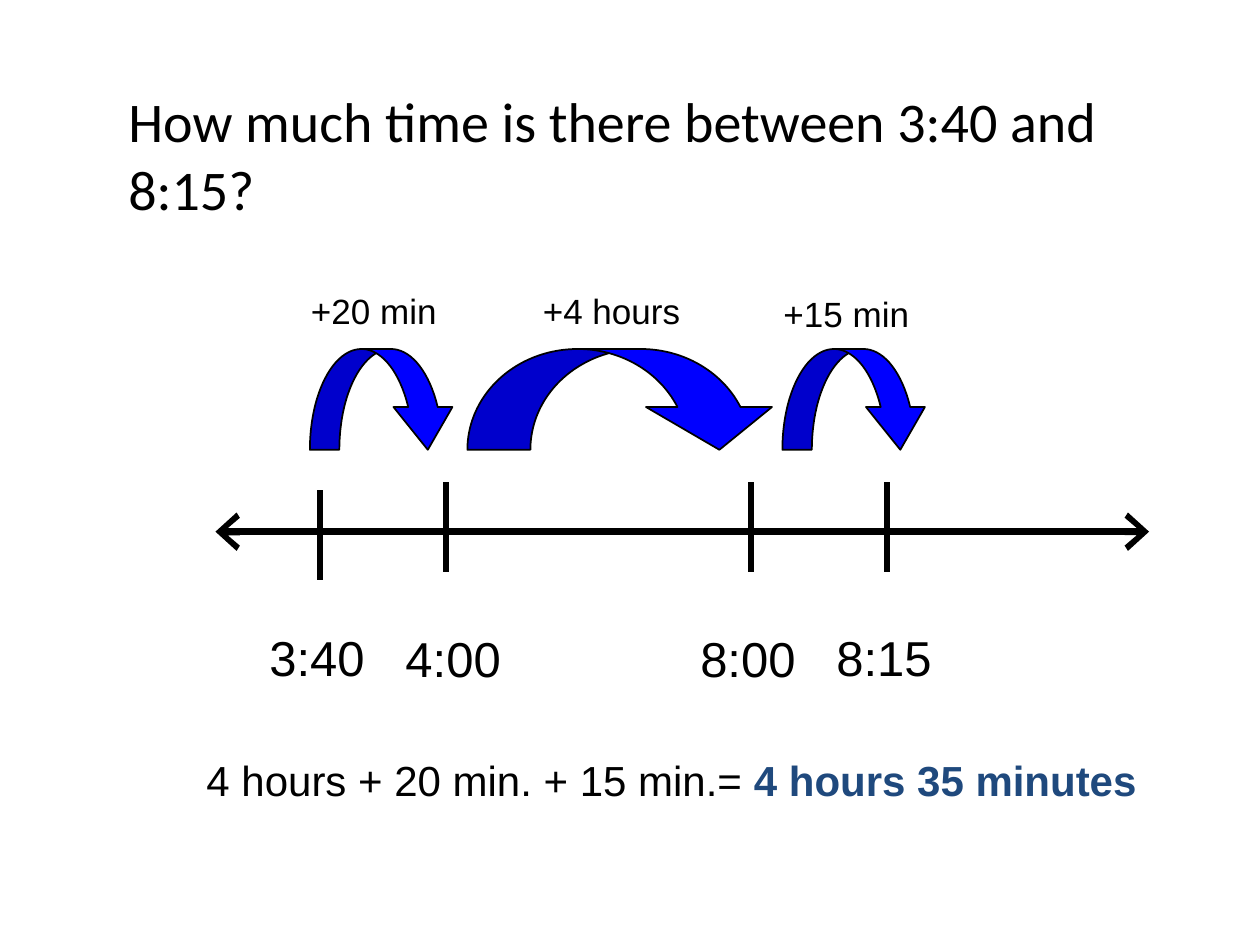
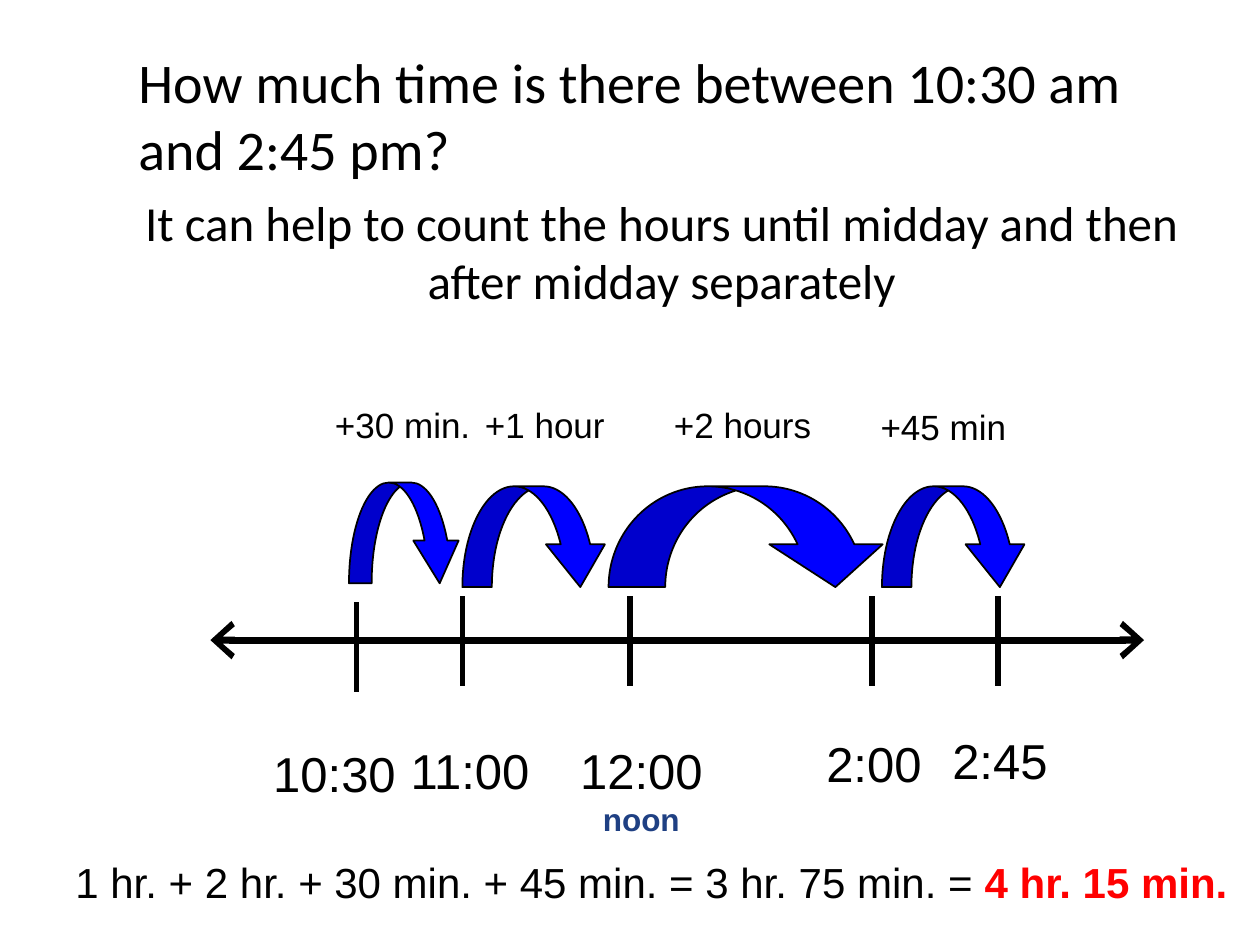
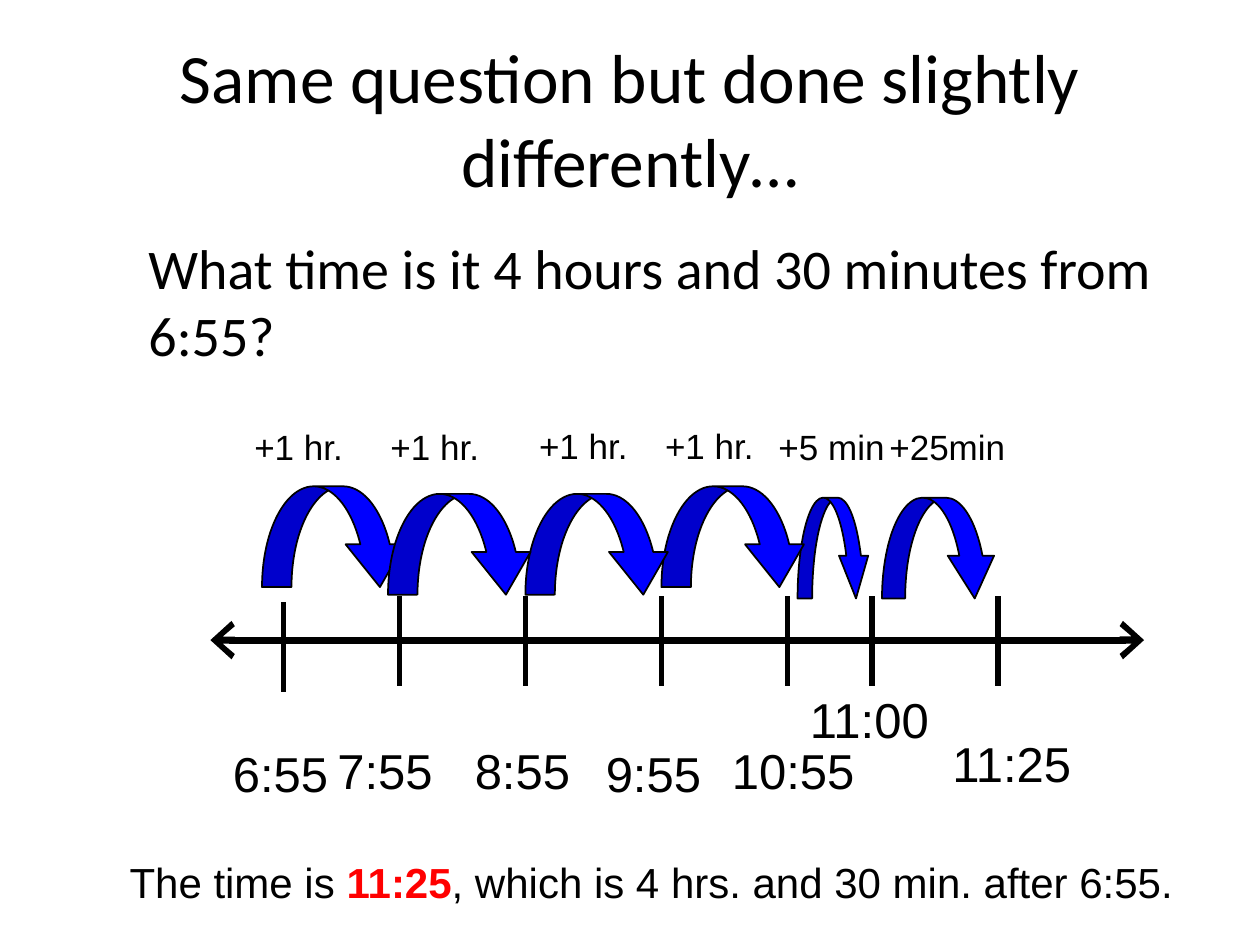
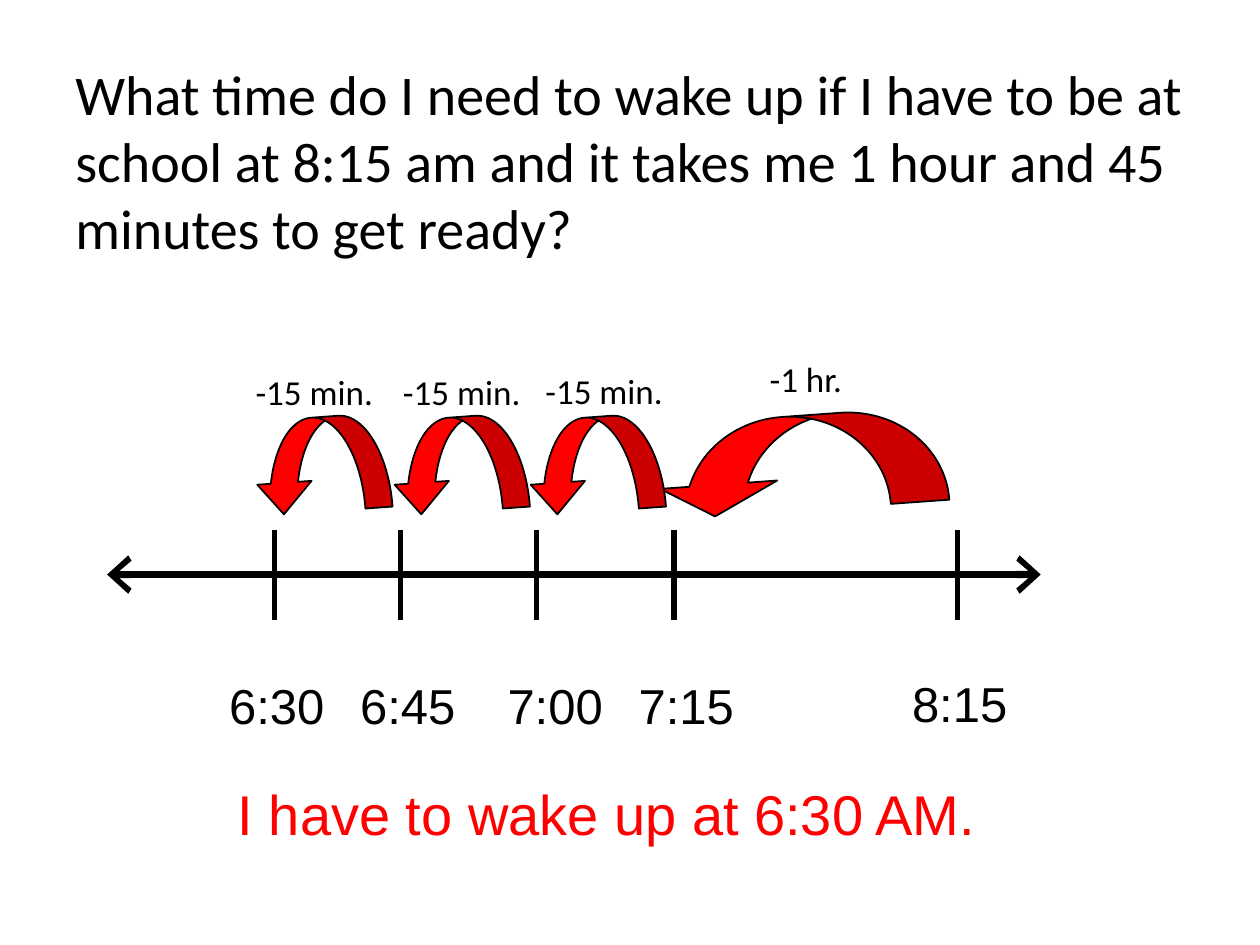
from lxml import etree
from pptx import Presentation
from pptx import util as u
from pptx.dml.color import RGBColor
from pptx.enum import shapes, text
from pptx.oxml import ns

INK = {"black": "000000", "blue": "0000FF", "navy": "1F497D",
       "noon": "1F4083", "red": "FF0000"}
SANS, BODY = "Arial", "Calibri"
LEFT, MID = text.PP_ALIGN.LEFT, text.PP_ALIGN.CENTER
DOWN = shapes.MSO_SHAPE.CURVED_DOWN_ARROW
UP = shapes.MSO_SHAPE.CURVED_UP_ARROW
HOP = 1.17  # usual width of a hop


def ink(name):
    return RGBColor.from_string(INK[name])


def write(slide, box, paras, font=SANS, wrap=False, anchor=text.MSO_ANCHOR.TOP):
    """Each para is (align, size, runs); each run is (words, colour, bold)."""
    frame = slide.shapes.add_textbox(*map(u.Inches, box)).text_frame
    frame.word_wrap = wrap
    frame.vertical_anchor = anchor
    if not wrap:
        frame.auto_size = text.MSO_AUTO_SIZE.SHAPE_TO_FIT_TEXT
    for i, (align, size, runs) in enumerate(paras):
        para = frame.add_paragraph() if i else frame.paragraphs[0]
        para.alignment = align
        if i and wrap:
            para.space_before = u.Pt(size * 0.2)
        for words, hue, bold in runs:
            run = para.add_run()
            run.text = words
            run.font.name, run.font.size = font, u.Pt(size)
            run.font.bold = bold
            run.font.color.rgb = ink(hue)


def plain(words, size, align=LEFT):
    return align, size, [(words, "black", False)]


def stroke(slide, ends, width, heads=False):
    line = slide.shapes.add_connector(
        shapes.MSO_CONNECTOR.STRAIGHT, *map(u.Inches, ends))
    line.line.color.rgb = ink("black")
    line.line.width = u.Pt(width)
    ln = line.line._get_or_add_ln()
    ln.set("cap", "sq")
    if heads:
        for end in ("a:headEnd", "a:tailEnd"):
            etree.SubElement(ln, ns.qn(end), type="arrow", w="lg", len="med")
    etree.SubElement(line._element.spPr, ns.qn("a:effectLst"))


# Regions: every x and y in the lists is measured from the box's corner

def ask(slide, box, *paras):
    write(slide, box, paras, BODY, True)


def axis(slide, box, drop, ticks, low=0):
    x, y, w, h = box
    stroke(slide, (x, y + drop, x + w, y + drop), 4, True)
    for i, dx in enumerate(ticks):
        top = y + (0 if i else low)
        stroke(slide, (x + dx, top, x + dx, top + h), 3)


def hops(slide, box, items, kind=DOWN, hue="blue", head=0.424, turn=0):
    x, y, _, h = box
    for dx, dy, w in items:
        hop = slide.shapes.add_shape(
            kind, *map(u.Inches, (x + dx, y + dy, w, h)))
        side = min(w, h)
        for i, size in enumerate((0.2 * w, 0.4 * w, head * h)):
            hop.adjustments[i] = size / side
        hop.rotation = turn
        hop.shadow.inherit = False
        hop.fill.solid()
        hop.fill.fore_color.rgb = ink(hue)
        hop.line.color.rgb = ink("black")
        hop.line.width = u.Pt(1)


def tags(slide, box, items, font=SANS):
    x, y, _, h = box
    for words, dx, dy, w in items:
        write(slide, (x + dx, y + dy, w, h), [plain(words, 20)], font)


def times(slide, box, items):
    x, y, _, h = box
    for words, dx, dy in items:
        w = 0.96 if len(words) == 4 else 1.18
        write(slide, (x + dx, y + dy, w, h), [plain(words, 28)])


def total(slide, box, runs, size=24):
    write(slide, box, [(LEFT, size, runs)])


# Slides

def between(slide):
    ask(slide, (0.92, 0.64, 8.5, 4.95),
        plain("How much time is there between 3:40 and 8:15?", 32))
    x, w = 1.71, 7.41
    axis(slide, (x, 3.85, w, 0.67), 0.37, (0.83, 1.83, 4.25, 5.33), 0.06)
    hops(slide, (x, 2.77, w, 0.8),
         [(2, 0, 2.5), (4.5, 0, HOP), (0.75, 0, HOP)])
    tags(slide, (x, 2.25, w, 0.43), [
        ("+20 min", 0.66, 0, 1.2), ("+4 hours", 2.5, 0, 1.29),
        ("+15 min", 4.41, 0.02, 1.2)])
    times(slide, (x, 4.93, w, 0.57), [
        ("3:40", 0.33, 0), ("4:00", 1.41, 0.01),
        ("8:00", 3.75, 0.01), ("8:15", 4.83, 0)])
    total(slide, (1.54, 5.94, 7.58, 0.5), [
        ("4 hours + 20 min. + 15 min.= ", "black", False),
        ("4 hours 35 minutes", "navy", True)])


def midday(slide):
    ask(slide, (1, 0.33, 8.5, 4.95),
        plain("How much time is there between 10:30 am and 2:45 pm?", 32),
        plain("It can help to count the hours until midday and then "
              "after midday separately", 28, MID))
    x, w = 1.67, 7.41
    axis(slide, (x, 4.75, w, 0.67), 0.33, (1.16, 2, 3.33, 5.25, 6.25), 0.05)
    hops(slide, (x, 3.86, w, 0.8), [
        (5.33, 0, HOP), (3.16, 0, 2.25), (1.1, -0.03, 0.9), (2, 0, HOP)])
    tags(slide, (x, 3.15, w, 0.43), [
        ("+30 min.", 0.89, 0, 1.32), ("+1 hour", 2.08, 0, 1.15),
        ("+2 hours", 3.58, 0, 1.29), ("+45 min", 5.22, 0.02, 1.2)])
    times(slide, (x, 5.83, w, 0.57), [
        ("10:30", 0.4, 0.02), ("11:00", 1.49, 0),
        ("2:00", 4.79, -0.06), ("2:45", 5.79, -0.08)])
    write(slide, (4.5, 5.83, 1.18, 0.87), [
        plain("12:00", 28, MID), (MID, 18, [("noon", "noon", True)])])
    total(slide, (0.5, 6.75, 9.41, 0.5), [
        ("1 hr. + 2 hr. + 30 min. + 45 min. = 3 hr. 75 min. = ",
         "black", False),
        ("4 hr. 15 min.", "red", True)])


def later(slide):
    write(slide, (0.5, 0.31, 9, 1.25),
          [plain("Same question but done slightly differently…", 39.6, MID)],
          BODY, True, text.MSO_ANCHOR.MIDDLE)
    ask(slide, (1.08, 1.8, 8.5, 4.95),
        plain("What time is it 4 hours and 30 minutes from 6:55?", 32))
    x, w = 1.67, 7.41
    axis(slide, (x, 4.75, w, 0.67), 0.33,
         (0.58, 1.5, 2.5, 3.58, 4.58, 5.25, 6.25), 0.05)
    hops(slide, (x, 3.86, w, 0.8), [
        (5.33, 0.09, 0.92), (0.41, 0, HOP), (4.66, 0.09, 0.58),
        (3.58, 0, HOP), (2.5, 0.06, HOP), (1.41, 0.06, HOP)])
    hour = "+1 hr."
    tags(slide, (x, 3.33, w, 0.43), [
        (hour, 0.25, 0, 0.92), (hour, 1.33, 0, 0.92),
        (hour, 2.51, -0.01, 0.92), (hour, 3.51, -0.01, 0.92),
        ("+5 min", 4.41, 0, 1.04), ("+25min", 5.29, 0, 1.12)])
    times(slide, (x, 5.83, w, 0.57), [
        ("6:55", 0.08, 0.02), ("7:55", 0.91, 0), ("8:55", 2, 0),
        ("9:55", 3.04, 0.02), ("10:55", 4.04, 0),
        ("11:00", 4.66, -0.41), ("11:25", 5.79, -0.06)])
    total(slide, (0.93, 6.75, 8.5, 0.5), [
        ("The time is ", "black", False), ("11:25", "red", True),
        (", which is 4 hrs. and 30 min. after 6:55.", "black", False)])


def wake(slide):
    ask(slide, (0.5, 0.42, 9, 4.95),
        plain("What time do I need to wake up if I have to be at school at "
              "8:15 am and it takes me 1 hour and 45 minutes to get ready?",
              32))
    x, w = 0.85, 7.41
    axis(slide, (x, 4.23, w, 0.67), 0.33, (1.33, 2.33, 3.41, 4.5, 6.75))
    hops(slide, (x, 3.31, w, 0.75), [
        (4.33, -0.01, 2.33), (2.25, 0, 1.08), (1.16, 0, 1.08),
        (3.33, 0, 1.08)], UP, "red", 0.333, 175.9)
    back = "-15 min."
    tags(slide, (x, 2.89, w, 0.43), [
        (back, 1.08, 0, 1.2), (back, 2.25, 0, 1.2),
        (back, 3.38, -0.01, 1.2), ("-1 hr.", 5.16, -0.1, 0.85)], BODY)
    times(slide, (x, 5.31, w, 0.57), [
        ("6:30", 0.87, 0), ("6:45", 1.91, 0), ("7:00", 3.08, 0),
        ("7:15", 4.12, 0), ("8:15", 6.29, -0.01)])
    total(slide, (1.79, 6.14, 6.07, 0.63),
          [("I have to wake up at 6:30 AM.", "red", False)], 32)


def main():
    deck = Presentation()
    deck.slide_width, deck.slide_height = u.Inches(10), u.Inches(7.5)
    for build in (between, midday, later, wake):
        build(deck.slides.add_slide(deck.slide_layouts[6]))
    deck.save("out.pptx")


if __name__ == "__main__":
    main()
